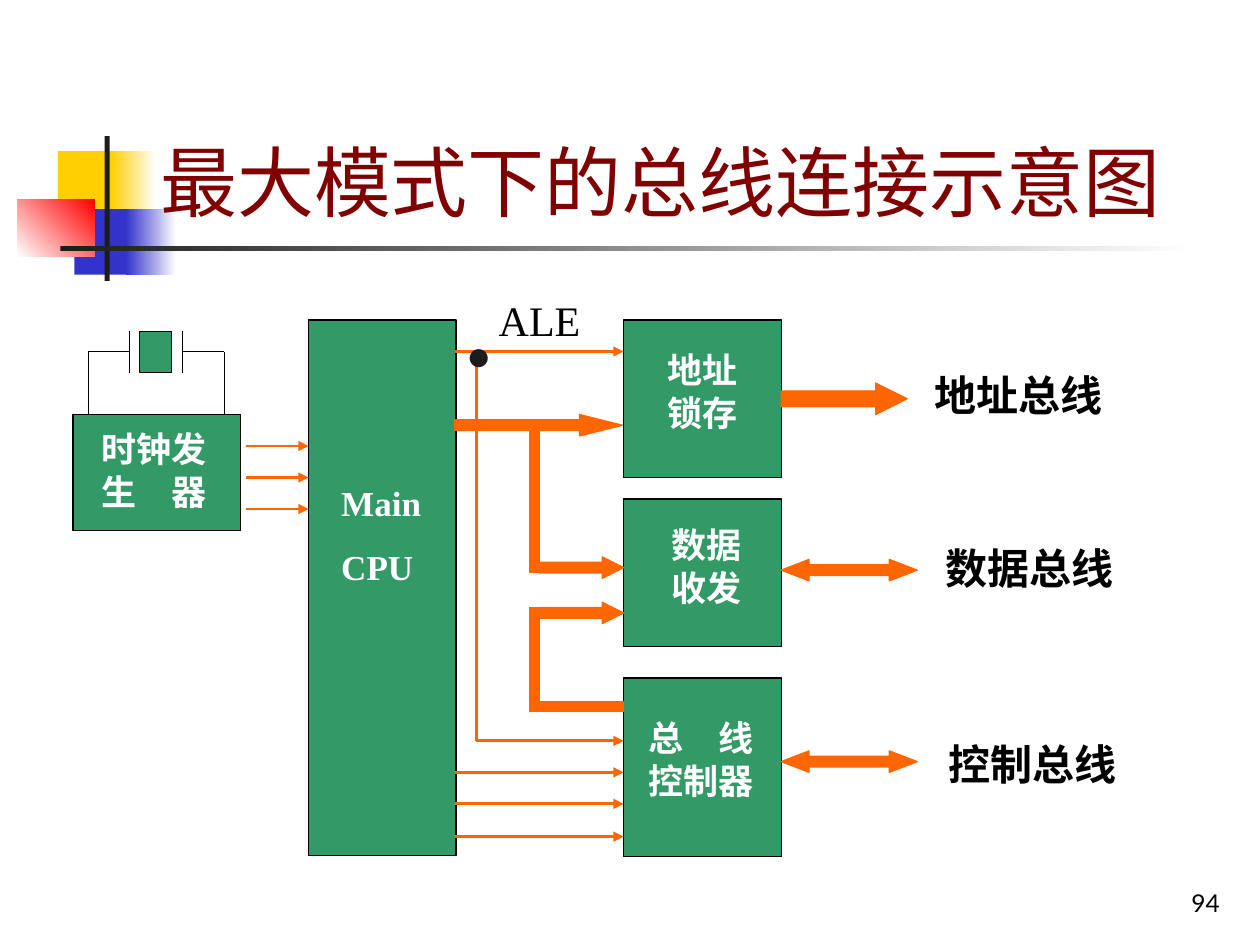
from dataclasses import dataclass
from typing import Optional

from lxml.etree import SubElement
from pptx import Presentation
from pptx.dml.color import RGBColor
from pptx.enum.shapes import MSO_CONNECTOR, MSO_SHAPE
from pptx.enum.text import MSO_ANCHOR, MSO_AUTO_SIZE, PP_ALIGN
from pptx.oxml.ns import qn
from pptx.util import Inches, Pt


@dataclass(frozen=True)
class Theme:
    black: str = "000000"
    white: str = "FFFFFF"
    ink: str = "1C1C1C"
    title: str = "800000"
    block: str = "339966"
    bus: str = "FF6600"
    yellow: str = "FFCF01"
    blue: str = "3333CC"
    red: str = "FF0000"
    title_size: float = 44
    label_size: float = 24
    block_size: float = 20
    number_size: float = 14
    outline: float = 0.75
    clock: float = 1.5
    signal: float = 1.75
    heading_font: str = "Lato"
    body_font: str = "Times New Roman"
    dot_font: str = "Arial"


THEME = Theme()


@dataclass(frozen=True)
class Box:
    left: float
    top: float
    width: float
    height: float
    fill: str
    line: Optional[str] = None
    fade: Optional[str] = None
    angle: float = 0
    kind: MSO_SHAPE = MSO_SHAPE.RECTANGLE
    adjustments: tuple = ()


@dataclass(frozen=True)
class Wire:
    start: tuple
    end: tuple
    color: str = THEME.bus
    width: float = THEME.signal
    arrow: bool = True


@dataclass(frozen=True)
class Label:
    left: float
    top: float
    width: float
    height: float
    lines: tuple
    size: float = THEME.label_size
    color: str = THEME.black
    bold: bool = True
    font: str = THEME.body_font
    spacing: float = 1.0


def draw_box(page, box: Box) -> None:
    """Draw a preset shape with a solid or two-colour gradient fill."""
    shape = page.shapes.add_shape(
        box.kind, Inches(box.left), Inches(box.top), Inches(box.width), Inches(box.height))
    shape.shadow.inherit = False
    for index, value in enumerate(box.adjustments):
        shape.adjustments[index] = value
    if box.fade:
        shape.fill.gradient()
        shape.fill.gradient_angle = box.angle
        for stop, color in zip(shape.fill.gradient_stops, (box.fill, box.fade)):
            stop.color.rgb = RGBColor.from_string(color)
    else:
        shape.fill.solid()
        shape.fill.fore_color.rgb = RGBColor.from_string(box.fill)
    if box.line:
        shape.line.color.rgb = RGBColor.from_string(box.line)
        shape.line.width = Pt(THEME.outline)
    else:
        shape.line.fill.background()


def draw_wire(page, wire: Wire) -> None:
    """Draw a straight connector, with an arrowhead at its end if wanted."""
    connector = page.shapes.add_connector(
        MSO_CONNECTOR.STRAIGHT, *(Inches(value) for value in wire.start + wire.end))
    connector.line.color.rgb = RGBColor.from_string(wire.color)
    connector.line.width = Pt(wire.width)
    if wire.arrow:
        SubElement(connector.line._get_or_add_ln(), qn("a:tailEnd"), type="triangle")
    SubElement(connector.element.spPr, qn("a:effectLst"))


def format_span(span, size: float, color: str, font: str, bold: bool = False) -> None:
    """Set the typeface, size, weight and colour of a run."""
    span.font.name = font
    span.font.size = Pt(size)
    span.font.bold = bold
    span.font.color.rgb = RGBColor.from_string(color)


def draw_label(page, label: Label):
    """Add a text box with one paragraph per line and return its frame."""
    frame = page.shapes.add_textbox(
        Inches(label.left), Inches(label.top),
        Inches(label.width), Inches(label.height)).text_frame
    frame.text = "\n".join(label.lines)
    frame.word_wrap = True
    frame.auto_size = MSO_AUTO_SIZE.SHAPE_TO_FIT_TEXT
    for index, para in enumerate(frame.paragraphs):
        para.line_spacing = label.spacing
        para.space_before = Pt(12.5 if index else 0)
        for span in para.runs:
            format_span(span, label.size, label.color, label.font, label.bold)
    return frame


def place_title(page, text: str) -> None:
    """Fill the title placeholder and bring it in front of the ornament."""
    title = page.shapes.title
    title.left, title.top = Inches(1.17), Inches(0.25)
    title.width, title.height = Inches(8.52), Inches(1.6)
    frame = title.text_frame
    frame.text = text
    frame.word_wrap = True
    frame.auto_size = MSO_AUTO_SIZE.NONE
    frame.vertical_anchor = MSO_ANCHOR.BOTTOM
    para = frame.paragraphs[0]
    para.alignment = PP_ALIGN.LEFT
    format_span(para.runs[0], THEME.title_size, THEME.title, THEME.heading_font)
    title.element.getparent().append(title.element)


def block(left: float, top: float, width: float, height: float) -> Box:
    """Describe a green outlined block."""
    return Box(left, top, width, height, THEME.block, THEME.black)


def bus(left: float, top: float, width: float, height: float,
        kind: MSO_SHAPE = MSO_SHAPE.RECTANGLE, head: Optional[float] = None) -> Box:
    """Describe an orange bus segment or block arrow."""
    return Box(left, top, width, height, THEME.bus, THEME.bus, kind=kind,
               adjustments=(0.5, head) if head else ())


def block_label(left: float, top: float, width: float, height: float,
                *lines: str, spacing: float = 0.5) -> Label:
    """Describe the white caption of a block."""
    return Label(left, top, width, height, lines, THEME.block_size, THEME.white, spacing=spacing)


ORNAMENT = (
    Box(0.46, 1.2, 0.48, 0.52, THEME.yellow),
    Box(0.88, 1.2, 0.36, 0.52, THEME.yellow, fade=THEME.white),
    Box(0.59, 1.66, 0.46, 0.52, THEME.blue),
    Box(1, 1.66, 0.4, 0.52, THEME.blue, fade=THEME.white),
    Box(0.14, 1.58, 0.61, 0.46, THEME.white, fade=THEME.red, angle=45),
    Box(0.83, 1.08, 0.04, 1.15, THEME.ink),
    Box(0.48, 1.95, 9, 0.04, THEME.ink, fade=THEME.white),
)
BLOCKS = (
    block(2.45, 2.54, 1.17, 4.25),
    block(0.58, 3.29, 1.33, 0.92),
    block(4.95, 2.54, 1.25, 1.25),
    block(4.95, 3.96, 1.25, 1.17),
    block(4.95, 5.38, 1.25, 1.42),
    block(1.11, 2.63, 0.25, 0.33),
)
BUSES = (
    bus(3.61, 3.29, 1.33, 0.17, MSO_SHAPE.RIGHT_ARROW, 2),
    *(bus(4.28, top, 0.67, 0.17, MSO_SHAPE.RIGHT_ARROW, 1) for top in (4.42, 4.78)),
    *(bus(6.2, top, 1.08, 0.17, MSO_SHAPE.LEFT_RIGHT_ARROW, 1.3) for top in (4.44, 5.96)),
    bus(6.2, 3.04, 1, 0.25, MSO_SHAPE.RIGHT_ARROW, 1),
    bus(4.2, 3.42, 0.08, 1.12),
    bus(4.2, 4.82, 0.08, 0.83),
    bus(4.2, 5.57, 0.75, 0.08),
)
CRYSTAL = ((0.7, 3.29, 0.7, 2.79), (0.7, 2.79, 1.03, 2.79), (1.03, 2.63, 1.03, 2.96),
           (1.45, 2.63, 1.45, 2.96), (1.45, 2.79, 1.78, 2.79), (1.78, 2.79, 1.78, 3.29))
WIRES = (
    *(Wire((1.95, y), (2.45, y), width=THEME.clock) for y in (3.54, 3.79, 4.04)),
    *(Wire(ends[:2], ends[2:], THEME.black, THEME.outline, False) for ends in CRYSTAL),
    *(Wire((3.61, y), (4.95, y)) for y in (2.79, 6.13, 6.38, 6.64)),
    Wire((3.78, 2.79), (3.78, 5.88), arrow=False),
    Wire((3.78, 5.88), (4.95, 5.88)),
)
LABELS = (
    block_label(2.61, 3.77, 0.92, 0.94, "Main", "CPU", spacing=1.0),
    block_label(5.2, 2.86, 1, 0.61, "地址", "锁存"),
    block_label(5.23, 4.25, 1, 0.61, "数据", "收发"),
    block_label(0.71, 3.49, 1.17, 0.78, "时钟发", "生　器"),
    block_label(5.05, 5.78, 1.23, 0.78, "总　线", "控制器"),
    Label(7.32, 2.88, 2.17, 0.5, ("地址总线",)),
    Label(7.41, 4.26, 1.83, 0.5, ("数据总线",)),
    Label(7.43, 5.81, 2.17, 0.5, ("控制总线",)),
    Label(3.86, 2.29, 1, 0.5, ("ALE",), bold=False),
    Label(3.6, 2.56, 0.42, 0.5, ("●",), color=THEME.ink, bold=False, font=THEME.dot_font),
)
PAGE_NUMBER = Label(7.7, 6.83, 2.08, 0.5, ("94",), THEME.number_size,
                    bold=False, font=THEME.heading_font)


def main() -> None:
    """Build the bus diagram slide and save it."""
    deck = Presentation()
    deck.slide_width, deck.slide_height = Inches(10), Inches(7.5)
    page = deck.slides.add_slide(deck.slide_layouts[5])
    for box in ORNAMENT:
        draw_box(page, box)
    place_title(page, "最大模式下的总线连接示意图")
    for box in BLOCKS + BUSES:
        draw_box(page, box)
    for wire in WIRES:
        draw_wire(page, wire)
    for label in LABELS:
        draw_label(page, label)
    number = draw_label(page, PAGE_NUMBER)
    number.auto_size = MSO_AUTO_SIZE.NONE
    number.vertical_anchor = MSO_ANCHOR.BOTTOM
    number.paragraphs[0].alignment = PP_ALIGN.RIGHT
    deck.save("out.pptx")


if __name__ == "__main__":
    main()
